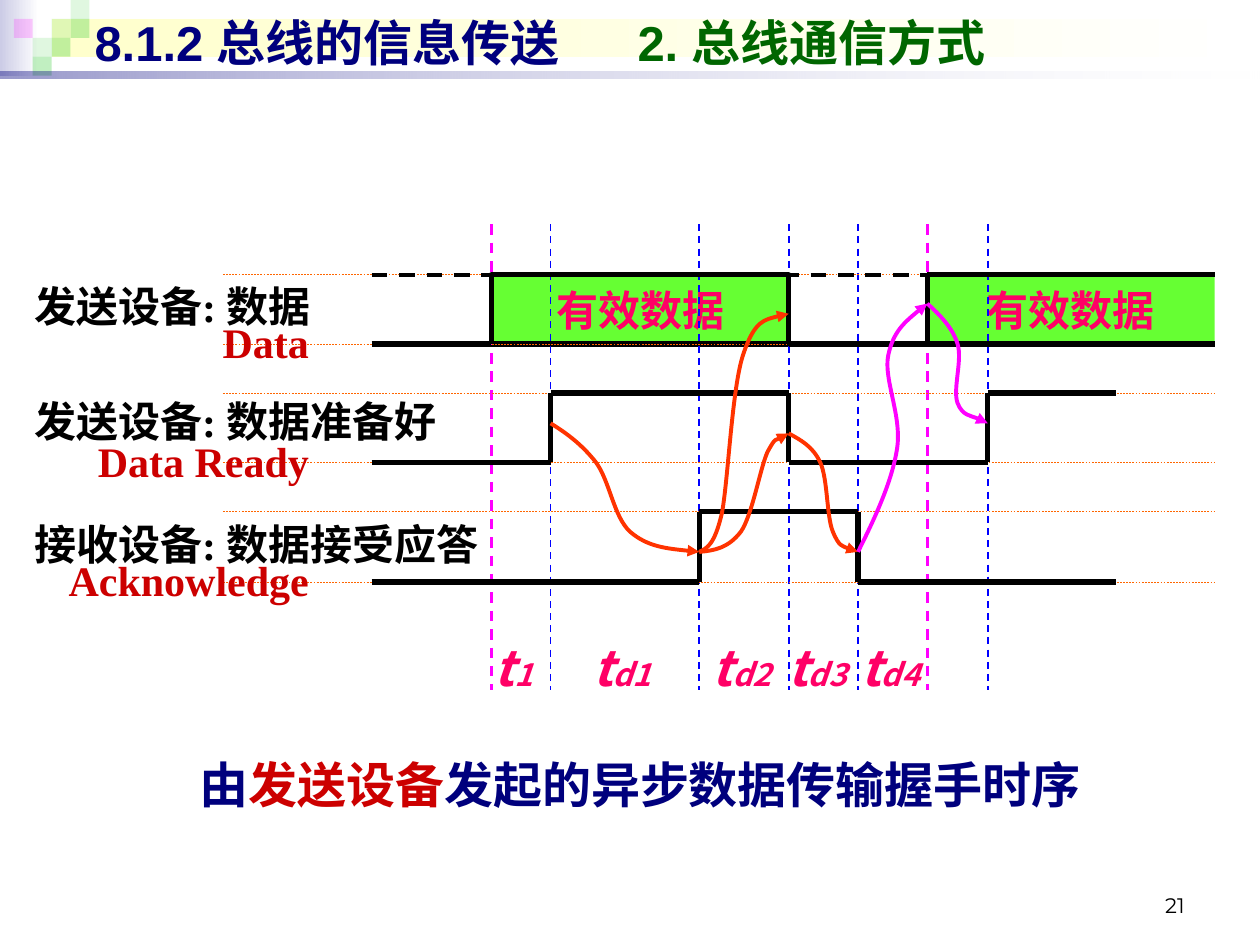
from dataclasses import dataclass
from itertools import pairwise

from lxml.etree import SubElement
from pptx import Presentation
from pptx.dml.color import RGBColor
from pptx.enum.dml import MSO_LINE
from pptx.enum.shapes import MSO_CONNECTOR, MSO_SHAPE
from pptx.enum.text import MSO_ANCHOR, PP_ALIGN
from pptx.oxml.ns import qn
from pptx.util import Inches, Pt


@dataclass(frozen=True)
class Theme:
    navy: str = "00007D"
    dark_green: str = "006600"
    green: str = "33CC33"
    lime: str = "66FF33"
    pink: str = "FF0066"
    magenta: str = "FF00FF"
    blue: str = "0000FF"
    orange: str = "FF6600"
    flame: str = "FF3300"
    red: str = "CC0000"
    black: str = "000000"
    white: str = "FFFFFF"
    lavender: str = "CCCCE6"
    cream: str = "FFFFCC"
    heading: int = 28
    label: int = 24
    subscript: int = 18
    page: int = 12
    cjk: str = "Noto Sans CJK SC"
    serif: str = "Times New Roman"
    sans: str = "Arial"


T = Theme()

# Signal levels (high, low) and the moments at which signals change
DATA, READY, ACK = (2.18, 2.73), (3.12, 3.67), (4.06, 4.62)
SEND, READY_UP, ACK_UP, RELEASE, ACK_DOWN, RESEND, READY_AGAIN = (
    3.9, 4.37, 5.55, 6.26, 6.81, 7.36, 7.84)
WAVE_LEFT, WAVE_RIGHT, DATA_RIGHT = 2.95, 8.86, 9.64


def rgb(value):
    return RGBColor.from_string(value)


def set_alpha(color_element, percent):
    SubElement(color_element, qn("a:alpha"), val=str(percent * 1000))


def write(sp, runs, *, size=T.label, font=T.serif, color=T.black, bold=True,
          italic=False, align=PP_ALIGN.LEFT, anchor=MSO_ANCHOR.TOP,
          wrap=True, left_inset=0.1):
    """Fill a shape with runs: a string, or (text, overrides) pairs."""
    tf = sp.text_frame
    tf.word_wrap, tf.vertical_anchor = wrap, anchor
    tf.margin_left, tf.margin_right = Inches(left_inset), Inches(0.1)
    tf.margin_top = tf.margin_bottom = Inches(0.05)
    p = tf.paragraphs[0]
    p.alignment = align
    for text, changes in [(runs, {})] if isinstance(runs, str) else runs:
        r = p.add_run()
        r.text = text
        r.font.size = Pt(changes.get("size", size))
        r.font.color.rgb = rgb(changes.get("color", color))
        r.font.name, r.font.bold, r.font.italic = font, bold, italic
        SubElement(r.font._element, qn("a:ea"), typeface=T.cjk)
    return p


def add_text(s, box, runs, **fmt):
    return write(s.shapes.add_textbox(*map(Inches, box)), runs, **fmt)


def add_rect(s, box, color=None, alpha=None, gradient=None, line=None):
    """Add a rectangle; gradient lists (colour, alpha) from left to right."""
    sp = s.shapes.add_shape(MSO_SHAPE.RECTANGLE, *map(Inches, box))
    sp.shadow.inherit = False
    if gradient:
        sp.fill.gradient()
        sp.fill.gradient_angle = 0
        for stop, (stop_color, stop_alpha) in zip(sp.fill.gradient_stops, gradient):
            stop.color.rgb = rgb(stop_color)
            if stop_alpha:
                set_alpha(stop._element[0], stop_alpha)
    else:
        sp.fill.solid()
        sp.fill.fore_color.rgb = rgb(color)
        if alpha:
            set_alpha(sp.element.spPr.find(qn("a:solidFill"))[0], alpha)
    if line:
        sp.line.color.rgb, sp.line.width = rgb(line), Pt(3)
    else:
        sp.line.fill.background()
    return sp


def add_line(s, start, end, color=T.black, width=3, dash=False):
    c = s.shapes.add_connector(MSO_CONNECTOR.STRAIGHT, *map(Inches, (*start, *end)))
    c.line.color.rgb, c.line.width = rgb(color), Pt(width)
    if dash:
        c.line.dash_style = MSO_LINE.DASH
    SubElement(c.element.spPr, qn("a:effectLst"))


def add_wave(s, levels, edges, right):
    """Draw a signal that starts low and toggles at every edge."""
    high, low = levels
    points, y = [(WAVE_LEFT, low)], low
    for x in edges:
        points.append((x, y))
        y = high if y == low else low
        points.append((x, y))
    points.append((right, y))
    for start, end in pairwise(points):
        add_line(s, start, end)


def add_curve(s, points, color):
    """Draw a Bezier arrow: a start, then two controls and an end per segment."""
    start, *rest = [(Inches(x), Inches(y)) for x, y in points]
    fb = s.shapes.build_freeform(*start)
    fb.add_line_segments(rest, close=False)
    sp = fb.convert_to_shape()
    sp.shadow.inherit = False
    sp.fill.background()
    sp.line.color.rgb, sp.line.width = rgb(color), Pt(2.25)
    SubElement(sp.line._get_or_add_ln(), qn("a:tailEnd"), type="triangle")
    # Join every three straight segments into one cubic segment
    steps = list(sp.element.iter(qn("a:lnTo")))
    outline = steps[0].getparent()
    for i in range(0, len(steps), 3):
        cubic = SubElement(outline, qn("a:cubicBezTo"))
        for step in steps[i:i + 3]:
            cubic.append(step[0])
            outline.remove(step)


def add_header(s):
    add_rect(s, (0, 0, 0.31, 0.6), gradient=[(T.lavender, None), (T.white, None)])
    add_rect(s, (0.41, 0.15, 9.55, 0.3), gradient=[(T.cream, None), (T.white, None)])
    # Mosaic of (column, row, colour, opacity)
    for col, row, color, alpha in [
            (2, 1, T.green, 15), (3, 0, T.green, 15), (3, 1, T.green, 30),
            (1, 2, T.green, 15), (0, 1, T.magenta, 20), (2, 2, T.green, 30),
            (1, 3, T.green, 30)]:
        add_rect(s, (0.11 + 0.15 * col, 0.15 * row, 0.15, 0.15), color, alpha)
    add_rect(s, (0, 0.57, 10, 0.05), gradient=[(T.navy, 40), (T.white, 10)])

    title = s.shapes.title
    title.left, title.top, title.width, title.height = map(Inches, (0.65, 0.05, 9, 0.57))
    p = write(title, [("8.1.2 总线的信息传送\t", {}),
                      ("2. 总线通信方式", {"color": T.dark_green})],
              size=T.heading, font=T.sans, color=T.navy, anchor=MSO_ANCHOR.MIDDLE)
    tabs = SubElement(p._p.get_or_add_pPr(), qn("a:tabLst"))
    SubElement(tabs, qn("a:tab"), pos=str(Inches(4.31)), algn="l")
    title.element.getparent().append(title.element)  # in front of the bands


def add_timing(s):
    # Valid data blocks
    high, low = DATA
    for left, right, line in [(RESEND, DATA_RIGHT, None), (SEND, RELEASE, T.black)]:
        block = add_rect(s, (left, high, right - left, low - high), T.lime, line=line)
        write(block, "有效数据", font=T.sans, color=T.pink, align=PP_ALIGN.CENTER,
              anchor=MSO_ANCHOR.MIDDLE, wrap=False)
    # Time and level guides
    for x in (SEND, READY_UP, ACK_UP, RELEASE, ACK_DOWN, RESEND, READY_AGAIN):
        color, width = (T.magenta, 1.5) if x in (SEND, RESEND) else (T.blue, 1)
        add_line(s, (x, 1.78), (x, 5.48), color, width, dash=True)
    for y in DATA + READY + ACK:
        add_line(s, (1.77, y), (DATA_RIGHT, y), T.orange, 0.25, dash=True)
    # Signals
    add_wave(s, DATA, [SEND, RELEASE, RESEND], DATA_RIGHT)
    add_wave(s, READY, [READY_UP, RELEASE, READY_AGAIN], WAVE_RIGHT)
    add_wave(s, ACK, [ACK_UP, ACK_DOWN], WAVE_RIGHT)
    add_line(s, (RESEND, low), (DATA_RIGHT, low))
    add_line(s, (WAVE_LEFT, high), (9.57, high), width=2.25, dash=True)
    # Cause and effect arrows
    for color, points in [
            (T.flame, [(READY_UP, 3.36), (4.5, 3.44), (4.62, 3.53), (4.73, 3.67), (4.84, 3.82),
                       (4.87, 4.1), (5, 4.22), (5.14, 4.34), (5.34, 4.36), (ACK_UP, 4.38)]),
            (T.flame, [(ACK_UP, 4.38), (5.61, 4.35), (5.67, 4.33), (5.73, 4.07), (5.78, 3.8),
                       (5.81, 3.07), (5.9, 2.81), (5.99, 2.54), (6.12, 2.52), (RELEASE, 2.49)]),
            (T.flame, [(ACK_UP, 4.38), (5.67, 4.37), (5.78, 4.35), (5.88, 4.22), (5.97, 4.09),
                       (6.03, 3.73), (6.09, 3.59), (6.16, 3.46), (6.24, 3.46), (RELEASE, 3.44)]),
            (T.flame, [(RELEASE, 3.44), (6.35, 3.49), (6.45, 3.54), (6.51, 3.67), (6.57, 3.8),
                       (6.56, 4.1), (6.61, 4.22), (6.66, 4.34), (6.74, 4.36), (ACK_DOWN, 4.38)]),
            (T.magenta, [(RESEND, 2.41), (7.46, 2.5), (7.56, 2.6), (7.6, 2.73), (7.64, 2.86),
                         (7.56, 3.09), (7.6, 3.2), (7.64, 3.3), (7.81, 3.33), (READY_AGAIN, 3.36)]),
            (T.magenta, [(ACK_DOWN, 4.38), (6.95, 4.1), (7.08, 3.82), (7.12, 3.56), (7.16, 3.3),
                         (7.01, 3.01), (7.05, 2.82), (7.09, 2.63), (7.22, 2.52), (RESEND, 2.41)])]:
        add_curve(s, points, color)


def add_labels(s):
    # Signal names: Chinese on the left, English flush right below
    for top, width, name, english_top, english in [
            (2.18, 2.99, "发送设备: 数据", 2.46, "Data"),
            (3.09, 3.62, "发送设备: 数据准备好", 3.41, "Data Ready"),
            (4.07, 4.02, "接收设备: 数据接受应答", 4.35, "Acknowledge")]:
        add_text(s, (0.27, top, width, 0.5), name, left_inset=0)
        add_text(s, (0.35, english_top, 2.2, 0.5), english, color=T.red,
                 align=PP_ALIGN.RIGHT)
    # Intervals
    for left, width, index in [(3.82, 0.63, "1"), (4.6, 0.79, "d1"), (5.55, 0.79, "d2"),
                               (6.15, 0.79, "d3"), (6.73, 0.71, "d4")]:
        add_text(s, (left, 5.01, width, 0.57), [("t", {}), (index, {"size": T.subscript})],
                 size=T.heading, font=T.cjk, color=T.pink, italic=True)
    # Caption and page number
    add_text(s, (1.22, 5.94, 7.72, 0.57),
             [("由", {}), ("发送设备", {"color": T.red}), ("发起的异步数据传输握手时序", {})],
             size=T.heading, color=T.navy, align=PP_ALIGN.CENTER)
    add_text(s, (7.17, 6.83, 2.33, 0.5), "21", size=T.page, font="Montserrat", bold=False,
             align=PP_ALIGN.RIGHT, anchor=MSO_ANCHOR.BOTTOM)


def main():
    prs = Presentation()
    prs.slide_width, prs.slide_height = Inches(10), Inches(7.5)
    s = prs.slides.add_slide(prs.slide_layouts[5])
    add_header(s)
    add_timing(s)
    add_labels(s)
    prs.save("out.pptx")


if __name__ == "__main__":
    main()
